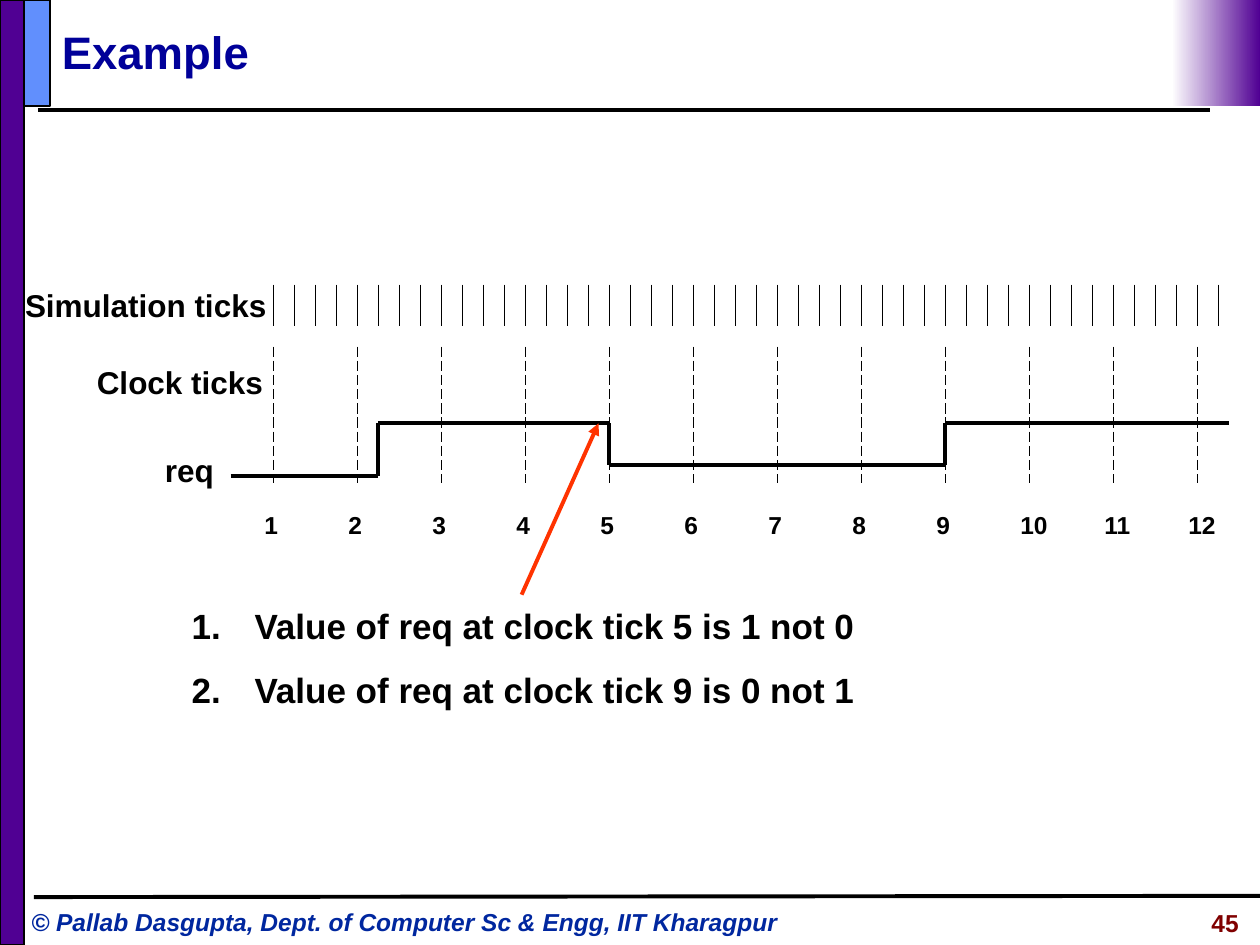
from lxml import etree
from pptx import Presentation
from pptx.dml.color import RGBColor
from pptx.enum.dml import MSO_LINE
from pptx.enum.shapes import MSO_CONNECTOR, MSO_SHAPE
from pptx.enum.text import MSO_ANCHOR, PP_ALIGN
from pptx.oxml.ns import qn
from pptx.util import Inches, Pt

BLACK = "000000"
color = RGBColor.from_string


def draw_line(start, end, width, hex_color=BLACK):
    connector = slide.shapes.add_connector(
        MSO_CONNECTOR.STRAIGHT, *[Inches(value) for value in (*start, *end)])
    connector.line.width = Pt(width)
    connector.line.color.rgb = color(hex_color)
    etree.SubElement(connector.line._get_or_add_ln().getparent(), qn("a:effectLst"))
    return connector


def write(holder, area, text, size, hex_color=BLACK, italic=False,
          align=PP_ALIGN.LEFT, anchor=MSO_ANCHOR.TOP):
    holder.left, holder.top, holder.width, holder.height = [Inches(value) for value in area]
    frame = holder.text_frame
    frame.text = text
    frame.word_wrap = True
    frame.vertical_anchor = anchor
    formats = {"name": "Arial", "size": Pt(size), "bold": True, "italic": italic}
    for paragraph in frame.paragraphs:
        paragraph.alignment = align
        paragraph.space_before = Pt(0)
        for attribute, value in formats.items():
            setattr(paragraph.font, attribute, value)
        paragraph.font.color.rgb = color(hex_color)
    return frame


presentation = Presentation()
presentation.slide_width = Inches(10)
presentation.slide_height = Inches(7.5)
slide = presentation.slides.add_slide(presentation.slide_layouts[1])

draw_line((0.3, 0.87), (9.6, 0.87), 2.25)
draw_line((0.27, 7.12), (10, 7.11), 2.25)

for left, width, height, fill in ((0, 0.19, 7.5, "500093"),
                                  (0.19, 0.21, 0.84, "618FFD")):
    bar = slide.shapes.add_shape(
        MSO_SHAPE.RECTANGLE, Inches(left), 0, Inches(width), Inches(height))
    bar.shadow.inherit = False
    bar.fill.solid()
    bar.fill.fore_color.rgb = color(fill)
    bar.line.color.rgb = color(BLACK)
    bar.line.width = Pt(1)

corner = slide.shapes.add_shape(
    MSO_SHAPE.RECTANGLE, Inches(9.3), 0, Inches(0.7), Inches(0.84))
corner.shadow.inherit = False
corner.line.fill.background()
corner.fill.gradient()
corner.fill.gradient_angle = 180
for stop, position, shade in zip(corner.fill.gradient_stops, (0, 1), ("500093", "FFFFFF")):
    stop.position = position
    stop.color.rgb = color(shade)

write(slide.shapes.title, (0.39, 0.1, 9.1, 0.61), "Example", 26, "000099",
      anchor=MSO_ANCHOR.MIDDLE)

first_tick = 2.17
for tick in range(46):
    x = first_tick + tick / 6
    draw_line((x, 2.26), (x, 2.59), 0.75)

for clock in range(12):
    x = first_tick + clock * 2 / 3
    draw_line((x, 2.75), (x, 3.83), 0.75).line.dash_style = MSO_LINE.LONG_DASH
    number = slide.shapes.add_textbox(0, 0, 0, 0)
    write(number, (x - 0.17, 4, 0.5, 0.34), str(clock + 1), 14)

waveform = [(1.83, 3.78), (3, 3.78), (3, 3.36), (4.67, 3.36), (4.83, 3.36),
            (4.83, 3.69), (7.5, 3.69), (7.5, 3.36), (9.75, 3.36)]
for start, end in zip(waveform, waveform[1:]):
    draw_line(start, end, 2.25)

for signal, area in (("Simulation ticks", (0.1, 2.22, 2.21, 0.4)),
                     ("Clock ticks", (0.67, 2.83, 1.83, 0.4)),
                     ("req", (1.21, 3.53, 0.92, 0.4))):
    write(slide.shapes.add_textbox(0, 0, 0, 0), area, signal, 18)

observations = write(
    slide.placeholders[1], (1.42, 4.75, 8.33, 0.94),
    "Value of req at clock tick 5 is 1 not 0\nValue of req at clock tick 9 is 0 not 1", 20)
for observation in observations.paragraphs:
    properties = observation._p.get_or_add_pPr()
    properties.set("marL", str(Inches(0.5)))
    properties.set("indent", str(-Inches(0.5)))
    numbering = etree.Element(qn("a:buAutoNum"), type="arabicPeriod")
    properties.find(qn("a:defRPr")).addprevious(numbering)
observations.paragraphs[1].space_before = Pt(12.5)

sample_arrow = draw_line((4.14, 4.72), (4.75, 3.36), 2.25, "FF3300")
etree.SubElement(sample_arrow.line._get_or_add_ln(), qn("a:tailEnd"), type="triangle")

write(slide.shapes.add_textbox(0, 0, 0, 0), (0.15, 7.15, 6.37, 0.34),
      "© Pallab Dasgupta, Dept. of Computer Sc & Engg, IIT Kharagpur", 14, "00279F", italic=True)
write(slide.shapes.add_textbox(0, 0, 0, 0), (8.18, 7.16, 1.75, 0.35),
      "45", 14, "800000", align=PP_ALIGN.RIGHT)

presentation.save("out.pptx")
